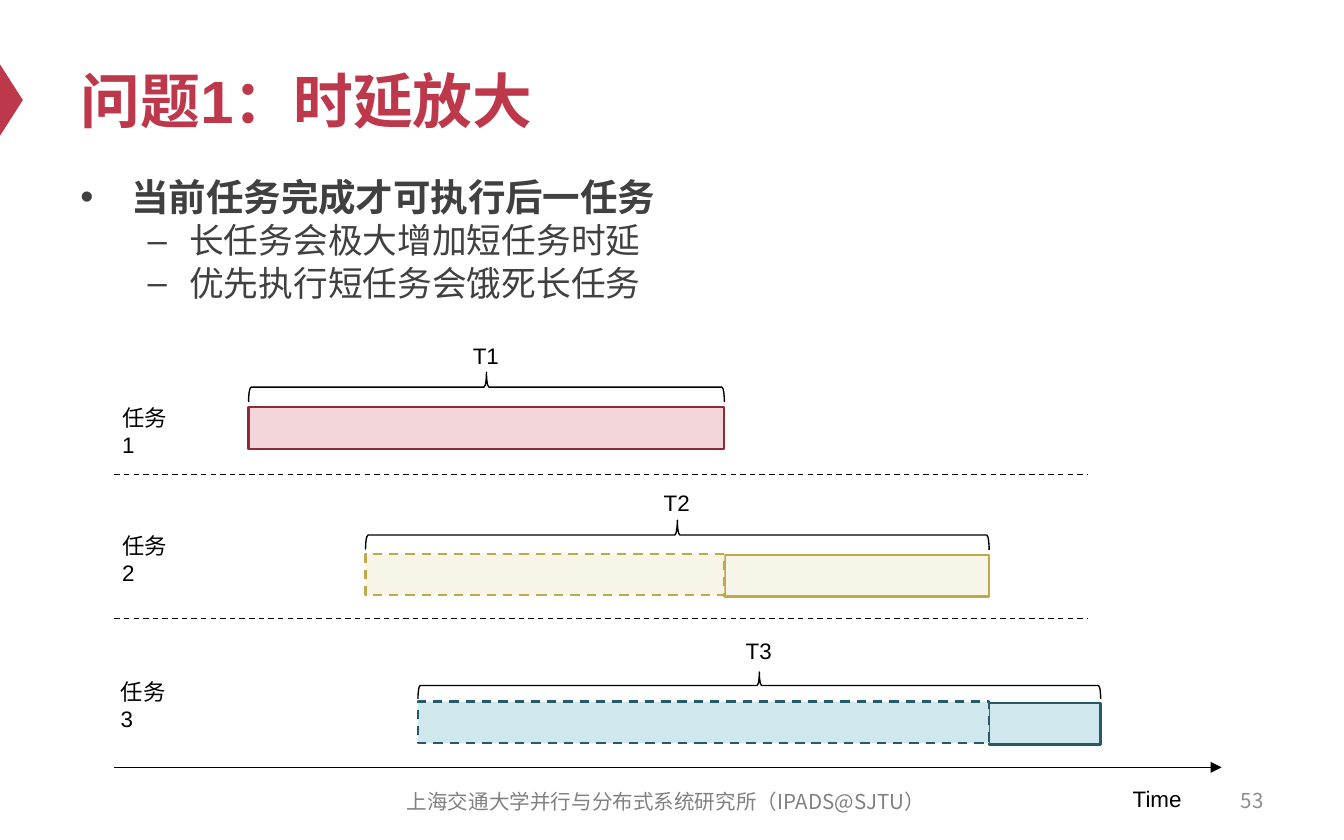
from lxml import etree
from pptx import Presentation
from pptx import util as u
from pptx.dml.color import RGBColor
from pptx.enum import dml, shapes, text
from pptx.oxml.ns import qn

In, Pt = u.Inches, u.Pt
CJK = "Noto Sans CJK SC"
HUE = {
    "red": "BE384B", "body": "404040", "foot": "808080", "page": "8C8C8C",
    "black": "000000", "pink": "F3D6DA", "wine": "8E2A38", "cream": "F7F4E8",
    "gold": "BFA94A", "sky": "D0E7EE", "teal": "255A6A",
}


def write(para, words, size, hue="black", font="Arial", bold=False):
    """Add one run with its Latin and East Asian fonts."""
    run = para.add_run()
    run.text = words
    run.font.size, run.font.bold, run.font.name = Pt(size), bold, font
    run.font.color.rgb = RGBColor.from_string(HUE[hue])
    etree.SubElement(run._r.get_or_add_rPr(), qn("a:ea")).set("typeface", CJK)


def draw(kind, x, y, w, h, fill=None, edge=None, wide=1.25, turn=0):
    item = slide.shapes.add_shape(kind, In(x), In(y), In(w), In(h))
    item.shadow.inherit = False
    item.rotation = turn
    for part, hue in ((item.fill, fill), (item.line.fill, edge)):
        if hue:
            part.solid()
            part.fore_color.rgb = RGBColor.from_string(HUE[hue])
        else:
            part.background()
    if edge:
        item.line.width = Pt(wide)
    return item


deck = Presentation()
deck.slide_width, deck.slide_height = In(10), In(6.25)
slide = deck.slides.add_slide(deck.slide_layouts[5])
kinds = shapes.MSO_SHAPE
left, mid, right = text.PP_ALIGN.LEFT, text.PP_ALIGN.CENTER, text.PP_ALIGN.RIGHT

# Title and its marker
draw(kinds.ISOSCELES_TRIANGLE, -0.18, 0.66, 0.53, 0.17, "red", turn=90)
title = slide.shapes.title
title.left, title.top, title.width, title.height = In(0.5), In(0.25), In(9), In(0.98)
title.text_frame.vertical_anchor = text.MSO_ANCHOR.MIDDLE
para = title.text_frame.paragraphs[0]
para.alignment = left
write(para, "问题1：时延放大", 32, "red", bold=True)

# Bullets
points = [
    ("当前任务完成才可执行后一任务", 0, 20.1, "•", 0.38, 0.38),
    ("长任务会极大增加短任务时延", 1, 18.6, "–", 0.81, 0.31),
    ("优先执行短任务会饿死长任务", 1, 18.6, "–", 0.81, 0.31),
]
frame = slide.shapes.add_textbox(In(0.5), In(1.28), In(9), In(1.24)).text_frame
frame.word_wrap = True
for i, (words, level, size, mark, margin, hang) in enumerate(points):
    para = frame.add_paragraph() if i else frame.paragraphs[0]
    para.level = level
    para.line_spacing = 0.9
    para.space_before = Pt(2.6 * level)
    props = para._p.get_or_add_pPr()
    props.set("marL", str(In(margin)))
    props.set("indent", str(-In(hang)))
    etree.SubElement(props, qn("a:buFont")).set("typeface", "Arial")
    etree.SubElement(props, qn("a:buChar")).set("char", mark)
    write(para, words, size, "body", bold=level == 0)

# Tasks: arrival, start of run, end, bar top, brace top, brace depth, colours
tasks = [
    (1.85, 1.85, 5.39, 3.03, 2.77, 0.22, "pink", "wine"),
    (2.72, 5.39, 7.36, 4.13, 3.87, 0.22, "cream", "gold"),
    (3.11, 7.36, 8.19, 5.23, 5.0, 0.2, "sky", "teal"),
]
for come, start, end, top, peak, deep, fill, edge in tasks:
    draw(kinds.RECTANGLE, start, top, end - start, 0.31, fill, edge)
    if start > come:
        wait = draw(kinds.RECTANGLE, come, top - 0.01, start - come, 0.31, fill, edge)
        wait.line.dash_style = dml.MSO_LINE.DASH
    span, centre = end - come, (come + end) / 2
    draw(kinds.RIGHT_BRACE, centre - deep / 2, peak + deep / 2 - span / 2,
         deep, span, edge="black", wide=0.75, turn=270)

# Row dividers and time axis
for y, end in ((3.53, 8.09), (4.6, 8.09), (5.71, 9.09)):
    rule = slide.shapes.add_connector(
        shapes.MSO_CONNECTOR.STRAIGHT, In(0.85), In(y), In(end), In(y))
    rule.line.width = Pt(0.75)
    rule.line.color.rgb = RGBColor.from_string(HUE["black"])
    if end < 9:
        rule.line.dash_style = dml.MSO_LINE.DASH
    else:
        etree.SubElement(rule.line._get_or_add_ln(), qn("a:tailEnd")).set("type", "triangle")
    etree.SubElement(rule._element.spPr, qn("a:effectLst"))

# Labels: words, left, top, width, height, wrap, alignment, size, colour, font
labels = [
    ("任务1", 0.81, 2.96, 0.6, 0.3, True, left, 12, "black", "Arial"),
    ("任务2", 0.81, 3.91, 0.6, 0.3, True, left, 12, "black", "Arial"),
    ("任务3", 0.8, 5, 0.6, 0.3, True, left, 12, "black", "Arial"),
    ("T1", 3.42, 2.5, 0.4, 0.3, False, left, 12, "black", "Arial"),
    ("T2", 4.84, 3.59, 0.4, 0.3, False, left, 12, "black", "Arial"),
    ("T3", 5.45, 4.69, 0.4, 0.3, False, left, 12, "black", "Arial"),
    ("Time", 8.33, 5.79, 0.57, 0.3, False, left, 12, "black", "Arial"),
    ("上海交通大学并行与分布式系统研究所（IPADS@SJTU）",
     2.79, 5.8, 4.33, 0.33, True, mid, 11, "foot", CJK),
    ("53", 7.17, 5.79, 2.33, 0.33, True, right, 11, "page", CJK),
]
for words, x, y, w, h, wrap, align, size, hue, font in labels:
    frame = slide.shapes.add_textbox(In(x), In(y), In(w), In(h)).text_frame
    frame.word_wrap = wrap
    if font == CJK:
        frame.vertical_anchor = text.MSO_ANCHOR.MIDDLE
    frame.paragraphs[0].alignment = align
    write(frame.paragraphs[0], words, size, hue, font)

deck.save("out.pptx")
